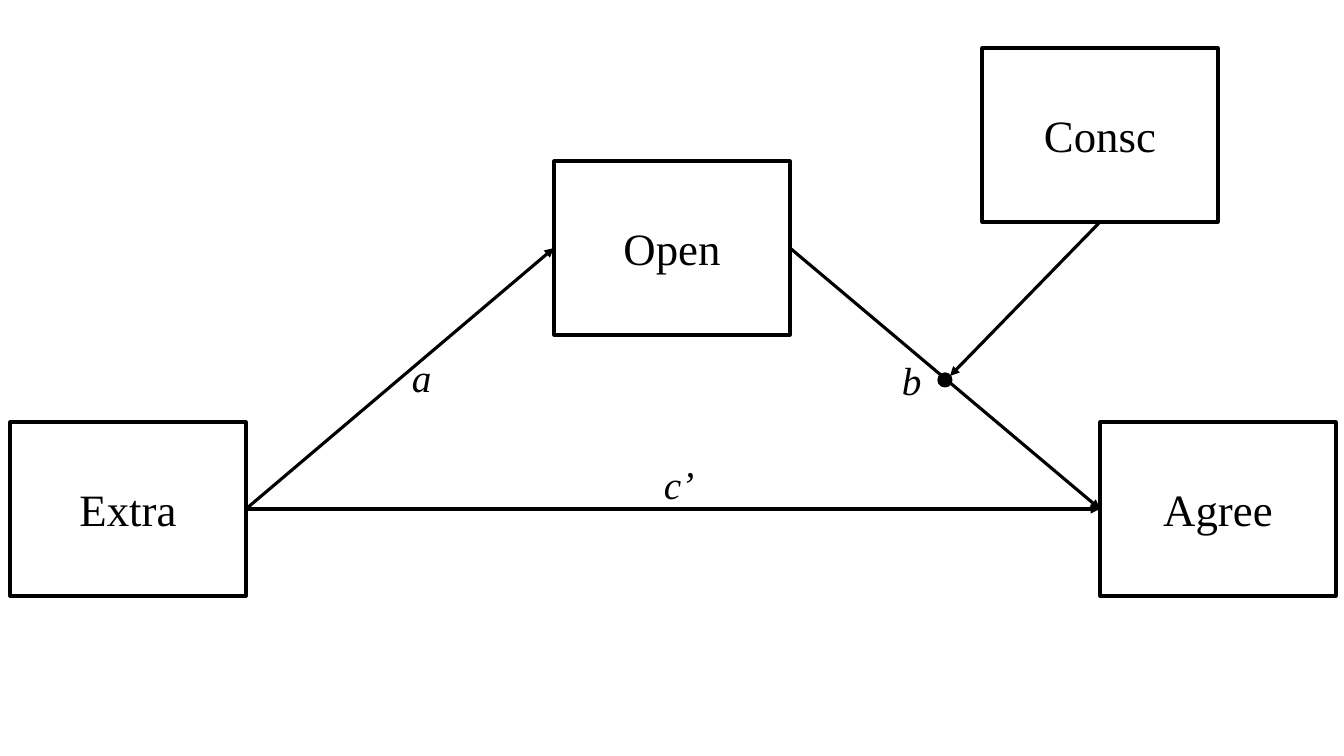
from pptx import Presentation
from pptx.dml.color import RGBColor
from pptx.enum.shapes import MSO_CONNECTOR, MSO_SHAPE
from pptx.enum.text import MSO_ANCHOR, MSO_AUTO_SIZE, PP_ALIGN
from pptx.oxml.ns import qn
from pptx.util import Emu, Pt
from lxml.etree import SubElement

# Content, lengths in px
SLIDE_W, SLIDE_H = 1344, 756
BOX_W, BOX_H = 236, 174
FONT, BLACK, WHITE = "Times New Roman", "000000", "FFFFFF"
BOXES = {  # name: left, top
    "Open": (554, 161),
    "Agree": (1100, 422),
    "Extra": (10, 422),
    "Consc": (982, 48),
}
TOP, LEFT, BOTTOM, RIGHT = range(4)
PATHS = [  # from box, side, to box, side
    ("Open", RIGHT, "Agree", LEFT),
    ("Extra", RIGHT, "Open", LEFT),
    ("Extra", RIGHT, "Agree", LEFT),
]
LABELS = [  # text, left, top, width
    ("b", 892, 351, 45),
    ("a", 402, 348, 45),
    ("c’", 654, 455, 57),
]
LABEL_H = 57
DOT = (939, 374, 12, 12)
DOT_TIP = (950, 376)


def px(n):
    return Emu(round(n * 914400 / 100.8))


def color(hex_code):
    return RGBColor.from_string(hex_code)


def set_text(tf, text, size, italic=False):
    p = tf.paragraphs[0]
    p.text = text
    f = p.font
    f.name, f.size, f.italic = FONT, Pt(size), italic
    f.color.rgb = color(BLACK)
    return p


def add_outlined(kind, fill, *place):
    sp = s.shapes.add_shape(kind, *map(px, place))
    sp.shadow.inherit = False
    sp.fill.solid()
    sp.fill.fore_color.rgb = color(fill)
    sp.line.color.rgb = color(BLACK)
    sp.line.width = Pt(2.25)
    return sp


def add_arrow(start, side, tip=(0, 0)):
    cx = s.shapes.add_connector(MSO_CONNECTOR.STRAIGHT, 0, 0, *map(px, tip))
    cx.begin_connect(start, side)
    cx.line.color.rgb = color(BLACK)
    cx.line.width = Pt(2.25)
    SubElement(cx.line._get_or_add_ln(), qn("a:tailEnd"), type="triangle")
    SubElement(cx._element.spPr, qn("a:effectLst"))
    return cx


prs = Presentation()
prs.slide_width, prs.slide_height = px(SLIDE_W), px(SLIDE_H)
s = prs.slides.add_slide(prs.slide_layouts[6])

# Variable boxes
boxes = {}
for name, (left, top) in BOXES.items():
    sp = add_outlined(MSO_SHAPE.RECTANGLE, WHITE, left, top, BOX_W, BOX_H)
    sp.text_frame.vertical_anchor = MSO_ANCHOR.MIDDLE
    set_text(sp.text_frame, name, 32).alignment = PP_ALIGN.CENTER
    boxes[name] = sp

# Paths between boxes
for start, side, end, end_side in PATHS:
    add_arrow(boxes[start], side).end_connect(boxes[end], end_side)

# Path labels
for text, left, top, width in LABELS:
    tf = s.shapes.add_textbox(*map(px, (left, top, width, LABEL_H))).text_frame
    tf.word_wrap = True
    tf.auto_size = MSO_AUTO_SIZE.SHAPE_TO_FIT_TEXT
    set_text(tf, text, 28, italic=True)

# Moderation of path b
add_arrow(boxes["Consc"], BOTTOM, DOT_TIP)
add_outlined(MSO_SHAPE.OVAL, BLACK, *DOT)

prs.save("out.pptx")
